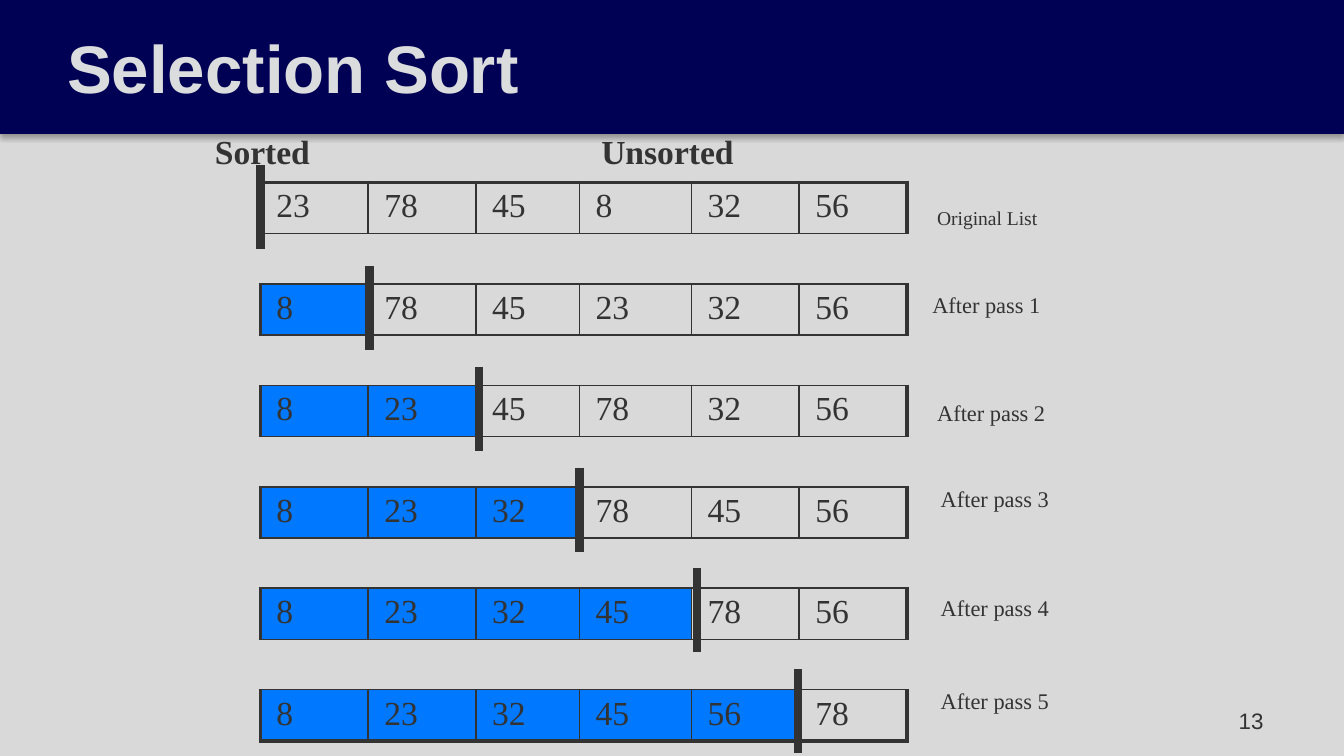
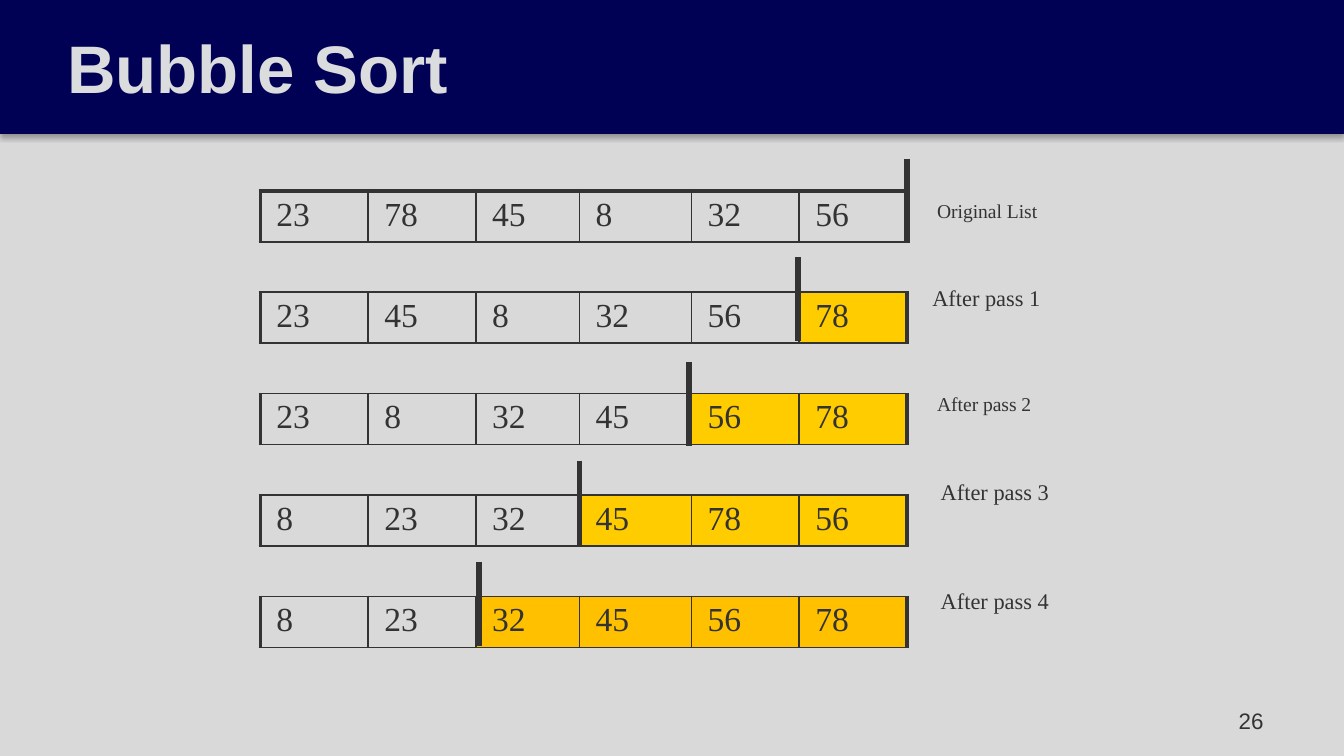
from lxml import etree
from pptx import Presentation
from pptx import util as u
from pptx.dml.color import RGBColor
from pptx.enum import shapes, text
from pptx.oxml.ns import qn

Pt = u.Pt
NAVY, GREY, PALE, INK = "000054", "D9D9D9", "DBDCDD", "333333"
BLUE, YELLOW, AMBER = "0078FF", "FFCC00", "FFC000"
SANS, SERIF = "Arial", "Times New Roman"
COLUMNS = [57.75, 57.75, 55.5, 60, 57.75, 57.75]
TABLE_LEFT, ROW_HEIGHT = 139.5, 27
THIN, THICK = 1, 2.25
LABEL_INSETS = (7.2, 3.6, 7.2, 3.6)
NO_INSETS = (0, 0, 0, 0)
LABELS = [
    ("Original List", 495, 106.6, LABEL_INSETS),
    ("After pass 1", 499.5, 156.2, NO_INSETS),
    ("After pass 2", 495, 210.2, LABEL_INSETS),
    ("After pass 3", 504, 259.9, NO_INSETS),
    ("After pass 4", 504, 318.2, NO_INSETS),
    ("After pass 5", 504, 367.9, NO_INSETS),
]


def rgb(color):
    return RGBColor.from_string(color)


def add_xml(parent, tag, **attributes):
    return etree.SubElement(parent, qn(tag), attributes)


class Deck:
    """Holds the shared style and the slide being drawn."""

    def __init__(self):
        self.presentation = Presentation()
        self.presentation.slide_width = Pt(720)
        self.presentation.slide_height = Pt(405)
        self.slide = None

    def add_slide(self, title, number):
        self.slide = self.presentation.slides.add_slide(self.presentation.slide_layouts[6])
        background = self.slide.background.fill
        background.solid()
        background.fore_color.rgb = rgb(GREY)
        self.add_band()
        box = self.add_text(title, 0, 0, 650, 71.3, 36, color=PALE, font=SANS, bold=True,
                            insets=(36, 7.2, 7.2, 7.2), anchor=text.MSO_ANCHOR.MIDDLE)
        box.fill.solid()
        box.fill.fore_color.rgb = rgb(NAVY)
        self.add_text(number, 516, 375, 168, 21.6, 12, font=SANS,
                      anchor=text.MSO_ANCHOR.MIDDLE, align=text.PP_ALIGN.RIGHT)

    def add_band(self):
        band = self.slide.shapes.add_shape(shapes.MSO_SHAPE.RECTANGLE, 0, 0, Pt(720), Pt(71.3))
        band.fill.solid()
        band.fill.fore_color.rgb = rgb(NAVY)
        band.line.color.rgb = rgb(NAVY)
        band.line.width = Pt(0.75)
        effects = add_xml(band.element.spPr, "a:effectLst")
        shadow = add_xml(effects, "a:outerShdw", blurRad=str(Pt(3.1)), dist=str(Pt(1.8)),
                         dir="5400000", algn="t", rotWithShape="0")
        color = add_xml(shadow, "a:srgbClr", val="000000")
        add_xml(color, "a:alpha", val="35000")

    def style_font(self, paragraph, size, color=INK, font=SERIF, bold=False):
        paragraph.font.size = Pt(size)
        paragraph.font.name = font
        paragraph.font.bold = bold
        paragraph.font.color.rgb = rgb(color)

    def add_text(self, content, left, top, width, height, size, color=INK, font=SERIF,
                 bold=False, insets=LABEL_INSETS, anchor=text.MSO_ANCHOR.TOP,
                 align=text.PP_ALIGN.LEFT):
        box = self.slide.shapes.add_textbox(Pt(left), Pt(top), Pt(width), Pt(height))
        frame = box.text_frame
        frame.word_wrap = True
        frame.vertical_anchor = anchor
        (frame.margin_left, frame.margin_top,
         frame.margin_right, frame.margin_bottom) = map(Pt, insets)
        paragraph = frame.paragraphs[0]
        paragraph.text = content
        paragraph.alignment = align
        self.style_font(paragraph, size, color, font, bold)
        return box

    def add_label(self, index, shift=0, size=12):
        content, left, top, insets = LABELS[index]
        self.add_text(content, left, top + shift, 101.25, 20.25, size, insets=insets)

    def add_marker(self, x, top, width):
        """Draw the bar between the sorted and unsorted parts."""
        marker = self.slide.shapes.add_connector(
            shapes.MSO_CONNECTOR.STRAIGHT, Pt(x), Pt(top), Pt(x), Pt(top + 45))
        marker.line.color.rgb = rgb(INK)
        marker.line.width = Pt(width)
        add_xml(marker.element.spPr, "a:effectLst")

    def set_borders(self, cell, left, right, top, bottom):
        """Set border widths in points; 0 hides a border."""
        properties = cell._tc.get_or_add_tcPr()
        for side, width in zip("LRTB", (left, right, top, bottom)):
            line = add_xml(properties, f"a:ln{side}", w=str(Pt(width)))
            if width:
                add_xml(add_xml(line, "a:solidFill"), "a:srgbClr", val=INK)
            else:
                add_xml(line, "a:noFill")

    def fill_cell(self, cell, value, color):
        cell.margin_left, cell.margin_right = Pt(8.64), Pt(5.04)
        cell.margin_top = cell.margin_bottom = Pt(2.88)
        paragraph = cell.text_frame.paragraphs[0]
        paragraph.text = str(value)
        self.style_font(paragraph, 18)
        if color:
            cell.fill.solid()
            cell.fill.fore_color.rgb = rgb(color)
        else:
            cell.fill.background()

    def add_passes(self, top, passes, colors, sorted_first, trailing_gap=False):
        """Draw one list per pass with a gap row between; pass n has n sorted cells."""
        row_count = 2 * len(passes) - (0 if trailing_gap else 1)
        table = self.slide.shapes.add_table(
            row_count, len(COLUMNS), Pt(TABLE_LEFT), Pt(top),
            Pt(sum(COLUMNS)), Pt(row_count * ROW_HEIGHT)).table
        table.first_row = table.horz_banding = False
        for column, width in zip(table.columns, COLUMNS):
            column.width = Pt(width)
        last_row, last_column = row_count - 1, len(COLUMNS) - 1
        for row_index, row in enumerate(table.rows):
            row.height = Pt(ROW_HEIGHT)
            step, is_gap = divmod(row_index, 2)
            for column, cell in enumerate(row.cells):
                if is_gap:
                    self.set_borders(cell, 0, 0, THIN, 0 if row_index == last_row else THIN)
                    cell.margin_top = cell.margin_bottom = 0
                    cell.fill.background()
                    continue
                self.set_borders(cell,
                                 THICK if column == 0 else THIN,
                                 THICK if column == last_column else THIN,
                                 THICK if row_index == 0 else THIN,
                                 THICK if row_index == last_row else THIN)
                rank = column if sorted_first else last_column - column
                self.fill_cell(cell, passes[step][column], colors[step] if rank < step else None)


def add_selection_sort(deck):
    deck.add_slide("Selection Sort", "13")
    passes = [
        (23, 78, 45, 8, 32, 56),
        (8, 78, 45, 23, 32, 56),
        (8, 23, 45, 78, 32, 56),
        (8, 23, 32, 78, 45, 56),
        (8, 23, 32, 45, 78, 56),
        (8, 23, 32, 45, 56, 78),
    ]
    deck.add_passes(97.8, passes, [BLUE] * len(passes), sorted_first=True)
    for heading, left in (("Sorted", 108), ("Unsorted", 315)):
        deck.add_text(heading, left, 66.5, 85.7, 28.8, 18, bold=True, insets=(7.2, 3.6, 0, 3.6))
    for step, x in enumerate((139.5, 198, 256.5, 310.5, 373.5, 427.5)):
        deck.add_label(step, size=10.5 if step == 0 else 12)
        deck.add_marker(x, 88.5 + 2 * ROW_HEIGHT * step, 4.5)


def add_bubble_sort(deck):
    deck.add_slide("Bubble Sort", "26")
    passes = [
        (23, 78, 45, 8, 32, 56),
        (23, 45, 8, 32, 56, 78),
        (23, 8, 32, 45, 56, 78),
        (8, 23, 32, 45, 78, 56),
        (8, 23, 32, 45, 56, 78),
    ]
    deck.add_passes(102.2, passes, [YELLOW] * 4 + [AMBER], sorted_first=False, trailing_gap=True)
    markers = [(486, 85), (427.5, 137.8), (369, 194.2), (310.5, 246.8), (256.5, 301)]
    for step, (x, top) in enumerate(markers):
        deck.add_label(step, shift=-3.7, size=10.5 if step in (0, 2) else 12)
        deck.add_marker(x, top, 3)


def main():
    deck = Deck()
    add_selection_sort(deck)
    add_bubble_sort(deck)
    deck.presentation.save("out.pptx")


if __name__ == "__main__":
    main()
